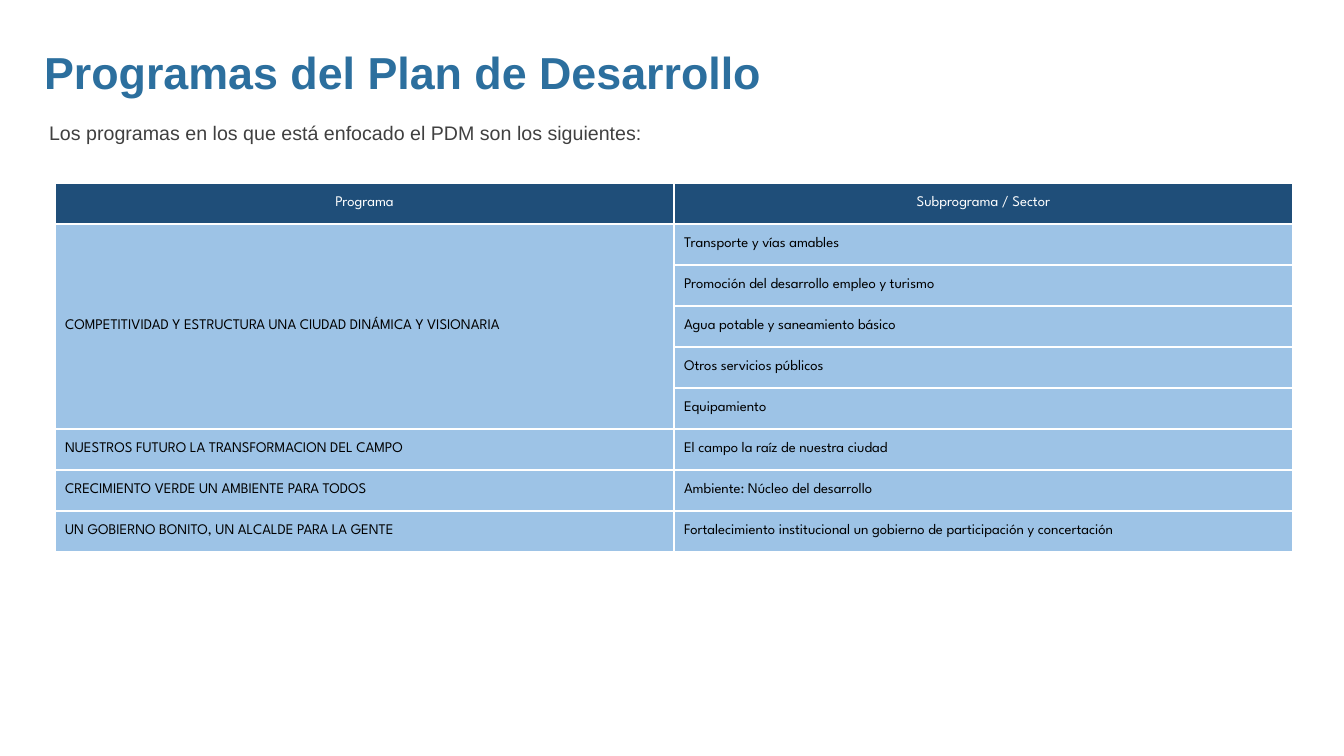
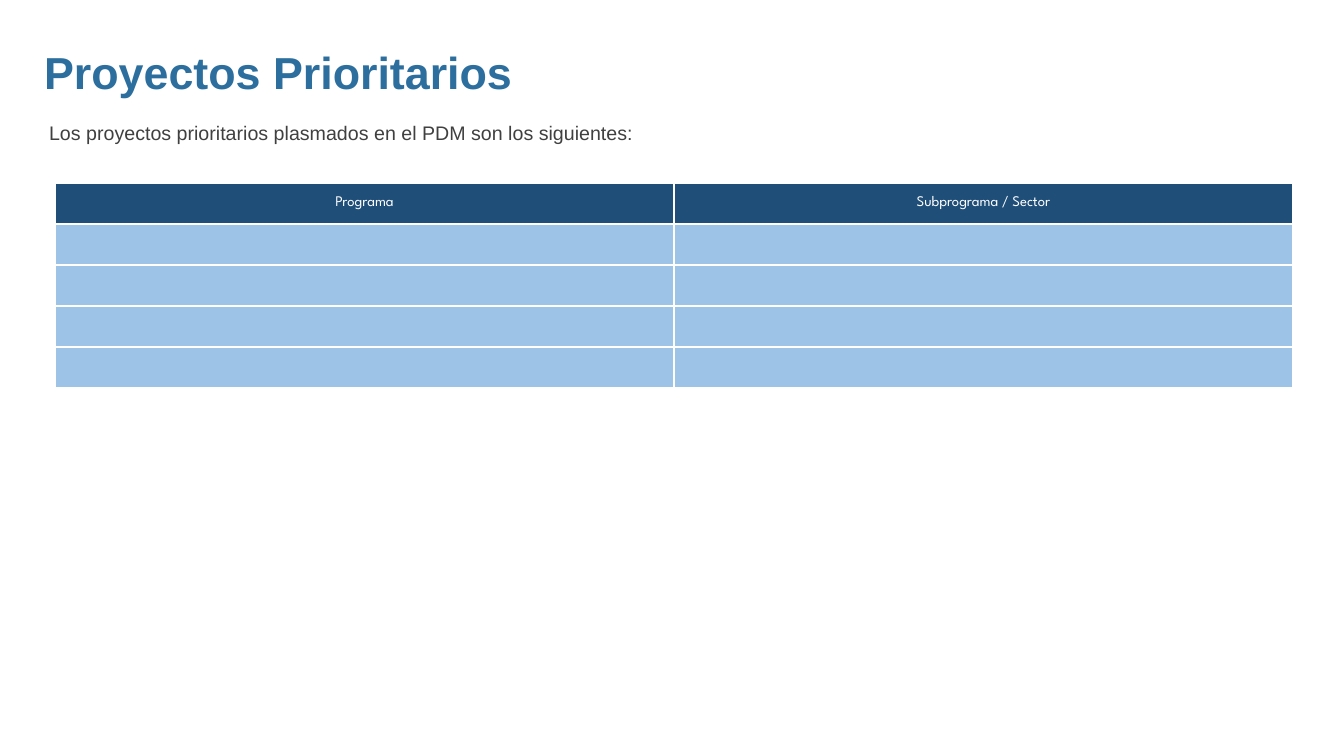
"""Builds two slides on the programmes and projects of a development plan."""
from pptx import Presentation
from pptx import util as u
from pptx.dml.color import RGBColor
from pptx.enum import text
from pptx.oxml import xmlchemy

EMU_PER_PX = 914400 / 100.8
COLORS = {"title": "2C6F9E", "intro": "404040", "header": "1F4E79",
          "row": "9DC3E6", "header_text": "FFFFFF", "row_text": "000000"}
TITLE_BOX = (34, 40, 903, 65)
INTRO_BOX = (39, 116, 1253, 34)
TABLE_BOX = (55, 183, 1238)
ROW_HEIGHT = 41
HEADINGS = ("Programa", "Subprograma / Sector")
PROGRAMS = [
    ("COMPETITIVIDAD Y ESTRUCTURA UNA CIUDAD DINÁMICA Y VISIONARIA",
     ["Transporte y vías amables",
      "Promoción del desarrollo empleo y turismo",
      "Agua potable y saneamiento básico",
      "Otros servicios públicos",
      "Equipamiento"]),
    ("NUESTROS FUTURO LA TRANSFORMACION DEL CAMPO",
     ["El campo la raíz de nuestra ciudad"]),
    ("CRECIMIENTO VERDE UN AMBIENTE PARA TODOS",
     ["Ambiente: Núcleo del desarrollo"]),
    ("UN GOBIERNO BONITO, UN ALCALDE PARA LA GENTE",
     ["Fortalecimiento institucional un gobierno de participación y concertación"]),
]
EMPTY_PROJECTS = [("", [""])] * 4


def px(length):
    """Turn pixels into EMU."""
    return u.Emu(round(length * EMU_PER_PX))


def add_run(paragraph, words, font, size, color, align, bold=False):
    """Add one formatted run to an aligned paragraph."""
    paragraph.alignment = align
    run = paragraph.add_run()
    run.text = words
    run.font.name = font
    run.font.size = u.Pt(size)
    run.font.bold = bold
    run.font.color.rgb = RGBColor.from_string(COLORS[color])


def fill_placeholder(holder, box, words, size, color, align, bold=False):
    """Move a placeholder to its box and write one unbulleted line in it."""
    holder.left, holder.top, holder.width, holder.height = map(px, box)
    frame = holder.text_frame
    frame.word_wrap = True
    frame.auto_size = text.MSO_AUTO_SIZE.NONE
    frame.vertical_anchor = text.MSO_ANCHOR.TOP
    line = frame.paragraphs[0]
    line.space_before = u.Pt(0)
    add_run(line, words, "Arial", size, color, align, bold)
    properties = line._p.get_or_add_pPr()
    properties.set("marL", "0")
    properties.set("indent", "0")
    properties.append(xmlchemy.OxmlElement("a:buNone"))


def fill_cell(cell, words, role, align):
    """Colour a table cell and write its words, if any."""
    cell.fill.solid()
    cell.fill.fore_color.rgb = RGBColor.from_string(COLORS[role])
    cell.vertical_anchor = text.MSO_ANCHOR.MIDDLE
    if words:
        add_run(cell.text_frame.paragraphs[0], words, "League Spartan", 10.5,
                role + "_text", align)


def add_program_table(slide, box, programs):
    """Place the table of programmes, each spanning its subprogrammes."""
    left, top, width = box
    count = 1 + sum(len(sectors) for _, sectors in programs)
    table = slide.shapes.add_table(count, 2, px(left), px(top), px(width),
                                   px(count * ROW_HEIGHT)).table
    table.horz_banding = False
    for row in table.rows:
        row.height = px(ROW_HEIGHT)
    for column, heading in enumerate(HEADINGS):
        fill_cell(table.cell(0, column), heading, "header", text.PP_ALIGN.CENTER)
    first = 1
    for program, sectors in programs:
        for offset, sector in enumerate(sectors):
            names = ("" if offset else program, sector)
            for column, name in enumerate(names):
                fill_cell(table.cell(first + offset, column), name, "row",
                          text.PP_ALIGN.LEFT)
        if len(sectors) > 1:
            table.cell(first, 0).merge(table.cell(first + len(sectors) - 1, 0))
        first += len(sectors)


def add_plan_slide(deck, title, intro, programs):
    """Add a slide with title, introduction and programme table."""
    slide = deck.slides.add_slide(deck.slide_layouts[1])
    fill_placeholder(slide.shapes.title, TITLE_BOX, title, 32, "title",
                     text.PP_ALIGN.LEFT, True)
    fill_placeholder(slide.placeholders[1], INTRO_BOX, intro, 14, "intro",
                     text.PP_ALIGN.JUSTIFY)
    add_program_table(slide, TABLE_BOX, programs)


def main():
    """Build and save the deck."""
    deck = Presentation()
    deck.slide_width, deck.slide_height = px(1344), px(756)
    add_plan_slide(deck, "Programas del Plan de Desarrollo",
                   "Los programas en los que está enfocado el PDM son los siguientes:",
                   PROGRAMS)
    add_plan_slide(deck, "Proyectos Prioritarios",
                   "Los proyectos prioritarios plasmados en el PDM son los siguientes:",
                   EMPTY_PROJECTS)
    deck.save("out.pptx")


main()
